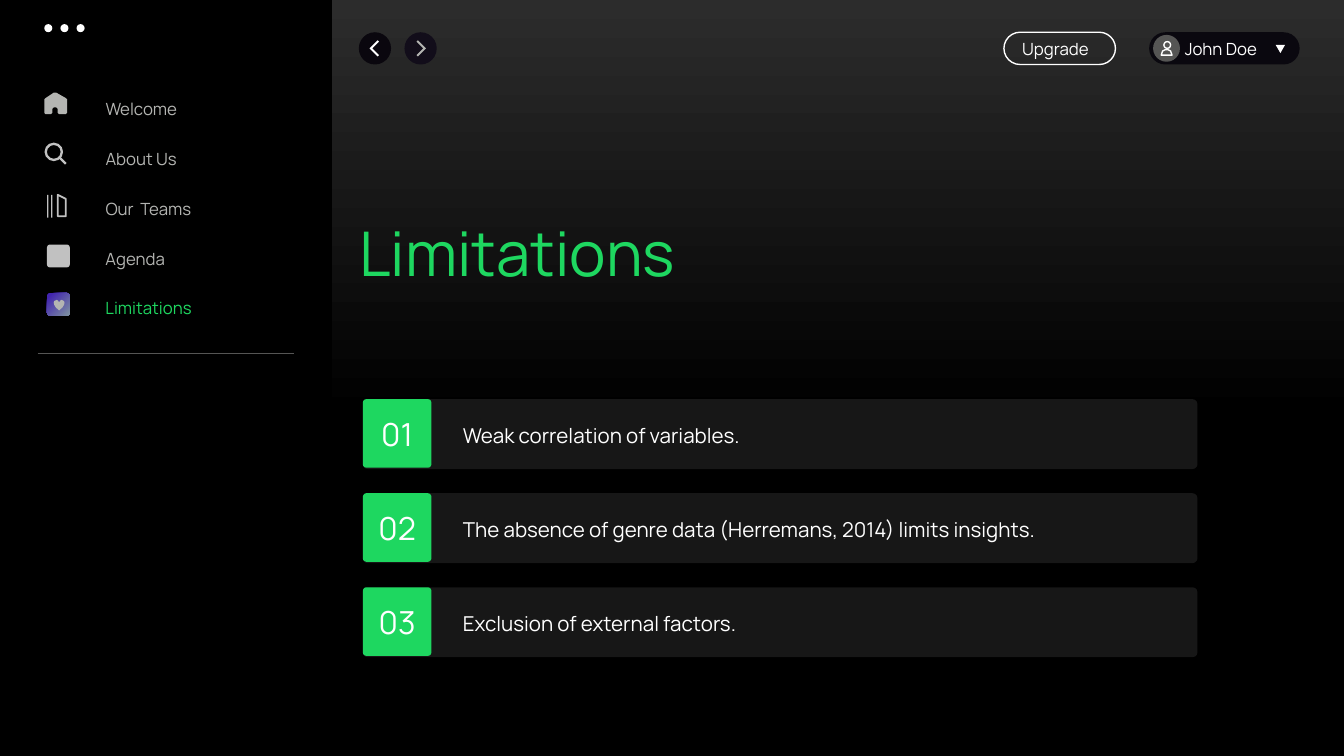
from lxml import etree
from pptx import Presentation
from pptx.dml.color import RGBColor
from pptx.enum.shapes import MSO_CONNECTOR, MSO_SHAPE as SHAPE
from pptx.enum.text import MSO_AUTO_SIZE, PP_ALIGN
from pptx.oxml.ns import qn
from pptx.util import Inches, Pt

COLORS = {
    "black": "000000", "top": "2C2C2C", "white": "FFFFFF", "green": "1ED760",
    "bar": "171717", "gray": "B4B5B2", "icon": "C1C1C1", "rule": "555554",
    "back": "0A070E", "next": "120D1A", "pill": "0A080F",
    "violet": "4224B0", "slate": "7F93A0",
}

prs = Presentation()
prs.slide_width = Inches(10)
prs.slide_height = Inches(10 * 9 / 16)
s = prs.slides.add_slide(prs.slide_layouts[6])


def rgb(name):
    return RGBColor.from_string(COLORS[name])


def draw(kind, box, fill=None, line=None, width=0.75, adj=None, text=None,
         size=9, color="white", align=PP_ALIGN.LEFT):
    """Add a preset shape, a text box (kind "text") or a closed outline (kind "free", box = points)."""
    if kind == "free":
        points = [(Inches(x), Inches(y)) for x, y in box]
        builder = s.shapes.build_freeform(*points[0])
        builder.add_line_segments(points[1:], close=True)
        sp = builder.convert_to_shape()
    elif kind == "text":
        sp = s.shapes.add_textbox(*map(Inches, box))
        tf = sp.text_frame
        tf.word_wrap = True
        tf.auto_size = MSO_AUTO_SIZE.SHAPE_TO_FIT_TEXT
        tf.margin_left = tf.margin_right = Pt(5.4)
        tf.margin_top = tf.margin_bottom = Pt(2.7)
        p = tf.paragraphs[0]
        p.text, p.alignment = text, align
        p.font.name, p.font.size = "Manrope", Pt(size)
        p.font.color.rgb = rgb(color)
        return sp
    else:
        sp = s.shapes.add_shape(kind, *map(Inches, box))
    sp.shadow.inherit = False
    if adj is not None:
        sp.adjustments[0] = adj
    if fill:
        sp.fill.solid()
        sp.fill.fore_color.rgb = rgb(fill)
    else:
        sp.fill.background()
    if line:
        sp.line.color.rgb = rgb(line)
        sp.line.width = Pt(width)
    else:
        sp.line.fill.background()
    return sp


def shade(fill, angle, *stops):
    fill.gradient()
    fill.gradient_angle = angle
    for stop, (position, name) in zip(fill.gradient_stops, stops):
        stop.position = position
        stop.color.rgb = rgb(name)


# Background and sidebar
shade(s.background.fill, 270, (0, "top"), (0.55, "black"))
sidebar = draw(SHAPE.RECTANGLE, (0, 0, 2.47, 5.62), "black")
sidebar.height = prs.slide_height
for i in range(3):
    draw(SHAPE.OVAL, (0.33 + 0.12 * i, 0.18, 0.06, 0.06), "white")

# Back and next buttons, with mirrored chevrons
chevron = [(0.02, 0.06), (-0.04, 0), (0.02, -0.06), (0.03, -0.05), (-0.02, 0), (0.03, 0.05)]
for x, fill, tint, side in ((2.79, "back", "white", 1), (3.13, "next", "gray", -1)):
    draw(SHAPE.OVAL, (x - 0.12, 0.24, 0.24, 0.24), fill)
    draw("free", [(x + side * dx, 0.36 + dy) for dx, dy in chevron], tint)

# Title and numbered limitations
draw("text", (2.6, 1.56, 3.05, 0.63), text="Limitations", size=33, color="green")
limitations = [
    ("Weak correlation of variables.", 4.66, 0.26),
    ("The absence of genre data (Herremans, 2014) limits insights.", 5.47, 0.56),
    ("Exclusion of external factors.", 5.26, 0.56),
]
for i, (limitation, width, height) in enumerate(limitations):
    y = 2.97 + 0.7 * i
    draw(SHAPE.ROUNDED_RECTANGLE, (2.7, y, 6.21, 0.52), "bar", adj=0.07)
    draw(SHAPE.ROUNDED_RECTANGLE, (2.7, y, 0.51, 0.51), "green", adj=0.05)
    draw("text", (2.7, y + 0.08, 0.51, 0.36), text=f"{i + 1:02}", size=17, align=PP_ALIGN.CENTER)
    draw("text", (3.37, y + 0.14, width, height), text=limitation, size=11)

# Sidebar menu
menu = [("Welcome", 0.75), ("About Us", 0.72), ("Our  Teams", 0.88), ("Agenda", 0.66), ("Limitations", 0.94)]
for i, (label, width) in enumerate(menu):
    draw("text", (0.71, 0.7 + 0.37 * i, width, 0.23), text=label,
         color="green" if label == "Limitations" else "gray")

# Menu icons: house, magnifier, books, square, heart
draw("free", [(0.33, 0.74), (0.34, 0.73), (0.4, 0.69), (0.42, 0.69), (0.49, 0.73), (0.5, 0.74),
              (0.5, 0.84), (0.49, 0.85), (0.44, 0.85), (0.43, 0.84), (0.43, 0.81), (0.42, 0.8),
              (0.4, 0.8), (0.39, 0.81), (0.39, 0.84), (0.38, 0.85), (0.34, 0.85), (0.33, 0.84)], "gray")
draw(SHAPE.OVAL, (0.34, 1.07, 0.12, 0.12), line="icon", width=1.25)
for x in (0.35, 0.38):
    draw(SHAPE.RECTANGLE, (x, 1.45, 0.01, 0.17), "icon")
draw("free", [(0.43, 1.45), (0.49, 1.48), (0.49, 1.61), (0.43, 1.61)], line="icon", width=1)
draw(SHAPE.ROUNDED_RECTANGLE, (0.35, 1.82, 0.17, 0.17), "icon", adj=0.13)
tile = draw(SHAPE.ROUNDED_RECTANGLE, (0.35, 2.18, 0.17, 0.17), adj=0.13)
shade(tile.fill, 315, (0.11, "violet"), (1, "slate"))
draw(SHAPE.HEART, (0.4, 2.23, 0.08, 0.08), "gray")

# Magnifier handle and menu divider
for x1, y1, x2, y2, color, width in ((0.44, 1.17, 0.49, 1.22, "icon", 1.25),
                                     (0.28, 2.63, 2.19, 2.63, "rule", 0.75)):
    line = s.shapes.add_connector(MSO_CONNECTOR.STRAIGHT, *map(Inches, (x1, y1, x2, y2)))
    line.line.color.rgb = rgb(color)
    line.line.width = Pt(width)
    etree.SubElement(line._element.spPr, qn("a:effectLst"))

# Upgrade button and user menu
draw(SHAPE.ROUNDED_RECTANGLE, (7.47, 0.24, 0.83, 0.24), line="white", adj=0.5)
draw("text", (7.53, 0.25, 0.71, 0.23), text="Upgrade")
draw(SHAPE.ROUNDED_RECTANGLE, (8.55, 0.24, 1.12, 0.24), "pill", adj=0.5)
draw("text", (8.74, 0.25, 0.75, 0.23), text="John Doe")
draw(SHAPE.OVAL, (8.58, 0.26, 0.2, 0.2), "rule")
draw(SHAPE.OVAL, (8.66, 0.31, 0.05, 0.05), line="white")
draw("free", [(8.64, 0.41), (8.65, 0.38), (8.67, 0.37), (8.69, 0.37), (8.71, 0.38), (8.72, 0.41)], line="white")
arrow = draw(SHAPE.ISOSCELES_TRIANGLE, (9.5, 0.32, 0.07, 0.06), "white")
arrow.rotation = 60

prs.save("out.pptx")
